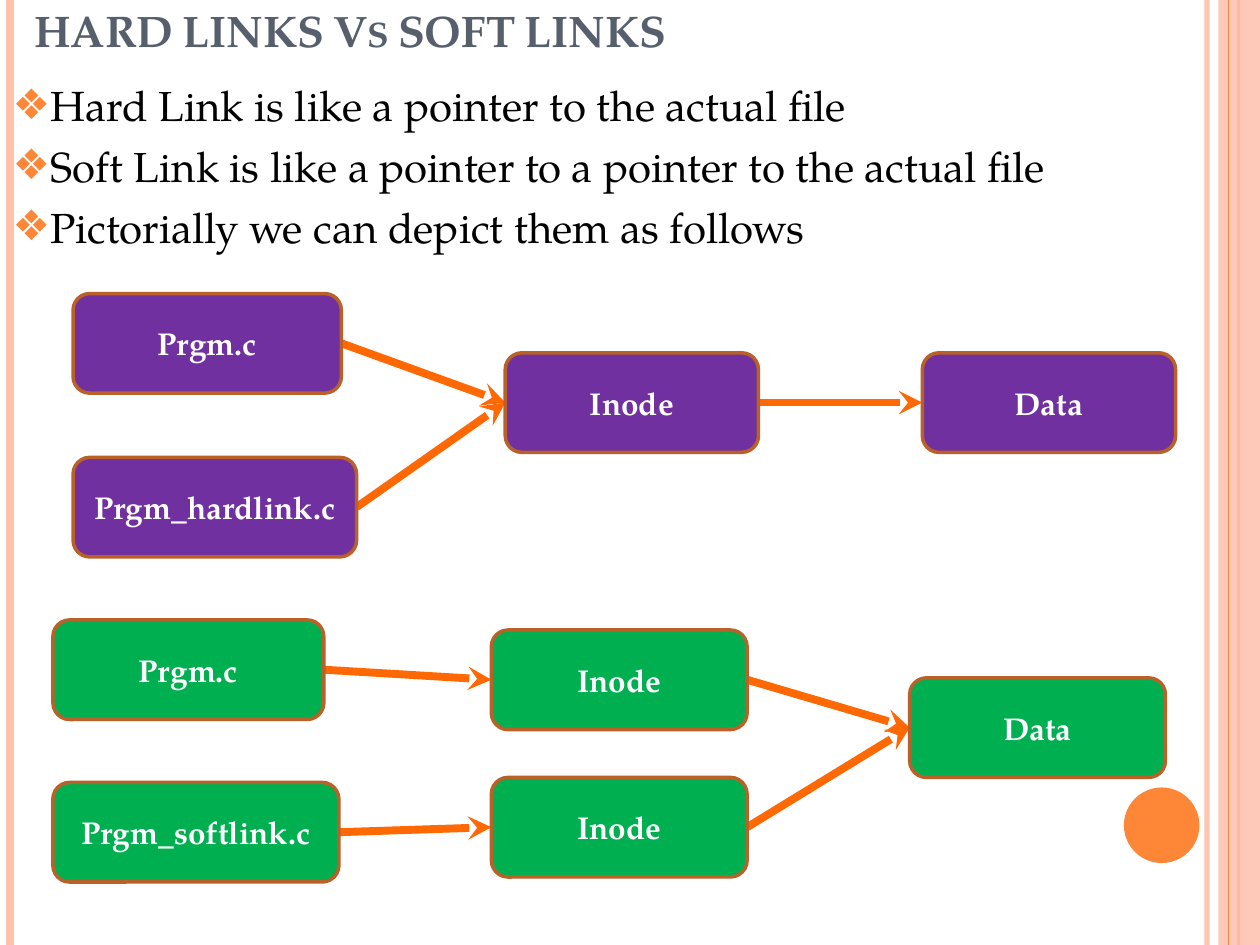
import pptx
import pptx.dml.color
import pptx.enum.shapes
import pptx.enum.text
import pptx.oxml
import pptx.oxml.ns
import pptx.util

COLUMNS, ROWS = 100, 75
ALIGN = pptx.enum.text.PP_ALIGN
ANCHOR = pptx.enum.text.MSO_ANCHOR
SHAPE = pptx.enum.shapes.MSO_SHAPE


def color(hex_string):
    return pptx.dml.color.RGBColor.from_string(hex_string)


def add_xml(parent, tag, **attributes):
    """Append a drawing element to parent and return it."""
    element = pptx.oxml.parse_xml(f"<a:{tag} {pptx.oxml.ns.nsdecls('a')}/>")
    for name, value in attributes.items():
        element.set(name, str(value))
    parent.append(element)
    return element


def write(paragraph, text, font="TeX Gyre Pagella", size=18, fill="000000",
          bold=False, small_caps=False, align=ALIGN.LEFT, before=0):
    """Put formatted text into a paragraph."""
    paragraph.alignment = align
    paragraph.space_before = pptx.util.Pt(before)
    run = paragraph.add_run()
    run.text = text
    run.font.name = font
    run.font.size = pptx.util.Pt(size)
    run.font.bold = bold
    run.font.color.rgb = color(fill)
    if small_caps:
        run.font._element.set("cap", "small")


class Deck:
    accent, pale, arrow_color = "FE8637", "FEC2AC", "FF6803"
    border, heading = "B96128", "575F6D"

    def __init__(self, width, height):
        self.presentation = pptx.Presentation()
        self.presentation.slide_width = pptx.util.Inches(width)
        self.presentation.slide_height = pptx.util.Inches(height)
        self.slide = self.presentation.slides.add_slide(
            self.presentation.slide_layouts[1])

    def x(self, columns):
        return round(self.presentation.slide_width * columns / COLUMNS)

    def y(self, rows):
        return round(self.presentation.slide_height * rows / ROWS)

    def area(self, left, top, width, height):
        return self.x(left), self.y(top), self.x(width), self.y(height)

    def set_fill(self, fill_format, fill, opacity=100):
        fill_format.solid()
        fill_format.fore_color.rgb = color(fill)
        if opacity < 100:
            clr = fill_format._xPr.find(".//" + pptx.oxml.ns.qn("a:srgbClr"))
            add_xml(clr, "alpha", val=opacity * 1000)

    def shape(self, kind, area, fill, opacity=100, shapes=None):
        shape = (shapes or self.slide.shapes).add_shape(kind, *self.area(*area))
        shape.shadow.inherit = False
        self.set_fill(shape.fill, fill, opacity)
        shape.line.fill.background()
        return shape

    def line(self, shapes, fill, width, start=(0, 0), end=(0, 0), opacity=100):
        line = shapes.add_connector(
            pptx.enum.shapes.MSO_CONNECTOR.STRAIGHT,
            self.x(start[0]), self.y(start[1]), self.x(end[0]), self.y(end[1]))
        line.line.width = pptx.util.Pt(width)
        self.set_fill(line.line.fill, fill, opacity)
        add_xml(line._element.spPr, "effectLst")
        return line

    def rule(self, column, fill, width, opacity=100):
        self.line(self.slide.shapes, fill, width, (column, 0), (column, ROWS),
                  opacity)

    def placeholder(self, shape, area, anchor):
        shape.left, shape.top, shape.width, shape.height = self.area(*area)
        frame = shape.text_frame
        frame.word_wrap = True
        frame.auto_size = pptx.enum.text.MSO_AUTO_SIZE.NONE
        frame.vertical_anchor = anchor
        return frame

    def title(self, text, area):
        frame = self.placeholder(self.slide.shapes.title, area, ANCHOR.BOTTOM)
        write(frame.paragraphs[0], text, size=25.2, fill=self.heading,
              bold=True, small_caps=True)

    def bullets(self, items, area):
        frame = self.placeholder(self.slide.placeholders[1], area, ANCHOR.TOP)
        indent = pptx.util.Inches(0.3)
        for index, text in enumerate(items):
            paragraph = frame.add_paragraph() if index else frame.paragraphs[0]
            properties = paragraph._p.get_or_add_pPr()
            properties.set("marL", str(indent))
            properties.set("indent", str(-indent))
            add_xml(add_xml(properties, "buClr"), "srgbClr", val=self.accent)
            add_xml(properties, "buChar", char="❖")
            write(paragraph, text, size=24, before=6 if index else 0)

    def box(self, shapes, text, area, fill):
        box = self.shape(SHAPE.ROUNDED_RECTANGLE, area, fill, shapes=shapes)
        box.adjustments[0] = 0.167
        box.line.width = pptx.util.Pt(2)
        self.set_fill(box.line.fill, self.border)
        frame = box.text_frame
        frame.word_wrap = True
        frame.vertical_anchor = ANCHOR.MIDDLE
        write(frame.paragraphs[0], text, fill="FFFFFF", bold=True,
              align=ALIGN.CENTER)
        return box

    def arrow(self, shapes, source, target):
        """Join the right side of source to the left side of target."""
        arrow = self.line(shapes, self.arrow_color, 4.5)
        arrow.begin_connect(source, 3)
        arrow.end_connect(target, 1)
        add_xml(arrow.line._get_or_add_ln(), "tailEnd", type="stealth")

    def diagram(self, fill, boxes, links):
        """Draw a group of boxes (key: text, left, top, width) and arrows."""
        shapes = self.slide.shapes.add_group_shape().shapes
        drawn = {key: self.box(shapes, text, (left, top, width, 7.9), fill)
                 for key, (text, left, top, width) in boxes.items()}
        for source, target in links:
            self.arrow(shapes, drawn[source], drawn[target])


def main():
    deck = Deck(10, 7.5)

    # Side bands
    deck.rule(95.8, deck.pale, 3, opacity=93)
    deck.rule(0.8, deck.pale, 4.5)
    deck.rule(98.3, deck.accent, 1.5)
    deck.shape(SHAPE.RECTANGLE, (96.7, 0, 3.3, ROWS), deck.pale, opacity=87)
    deck.rule(97.5, deck.accent, 0.75)
    deck.shape(SHAPE.OVAL, (89.2, 62.5, 6, 6), deck.accent)

    # Title and list
    deck.title("HARD LINKS Vs SOFT LINKS", (1.7, 0, 96.7, 5))
    deck.bullets(["Hard Link is like a pointer to the actual file",
                  "Soft Link is like a pointer to a pointer to the actual file",
                  "Pictorially we can depict them as follows"],
                 (0, 5.8, 98.3, 69.2))

    # Hard link: two names share one inode
    deck.diagram("7030A0", {
        "inode": ("Inode", 40.1, 28, 20.1),
        "data": ("Data", 73.2, 28, 20.1),
        "program": ("Prgm.c", 5.8, 23.3, 21.3),
        "link": ("Prgm_hardlink.c", 5.8, 36.3, 22.5),
    }, [("program", "inode"), ("link", "inode"), ("inode", "data")])

    # Soft link: each name has its own inode
    deck.diagram("00B050", {
        "program inode": ("Inode", 39, 50, 20.3),
        "data": ("Data", 72.2, 53.8, 20.3),
        "program": ("Prgm.c", 4.2, 49.2, 21.5),
        "link": ("Prgm_softlink.c", 4.2, 62.1, 22.7),
        "link inode": ("Inode", 39, 61.7, 20.3),
    }, [("program", "program inode"), ("program inode", "data"),
        ("link", "link inode"), ("link inode", "data")])

    deck.presentation.save("out.pptx")


if __name__ == "__main__":
    main()
